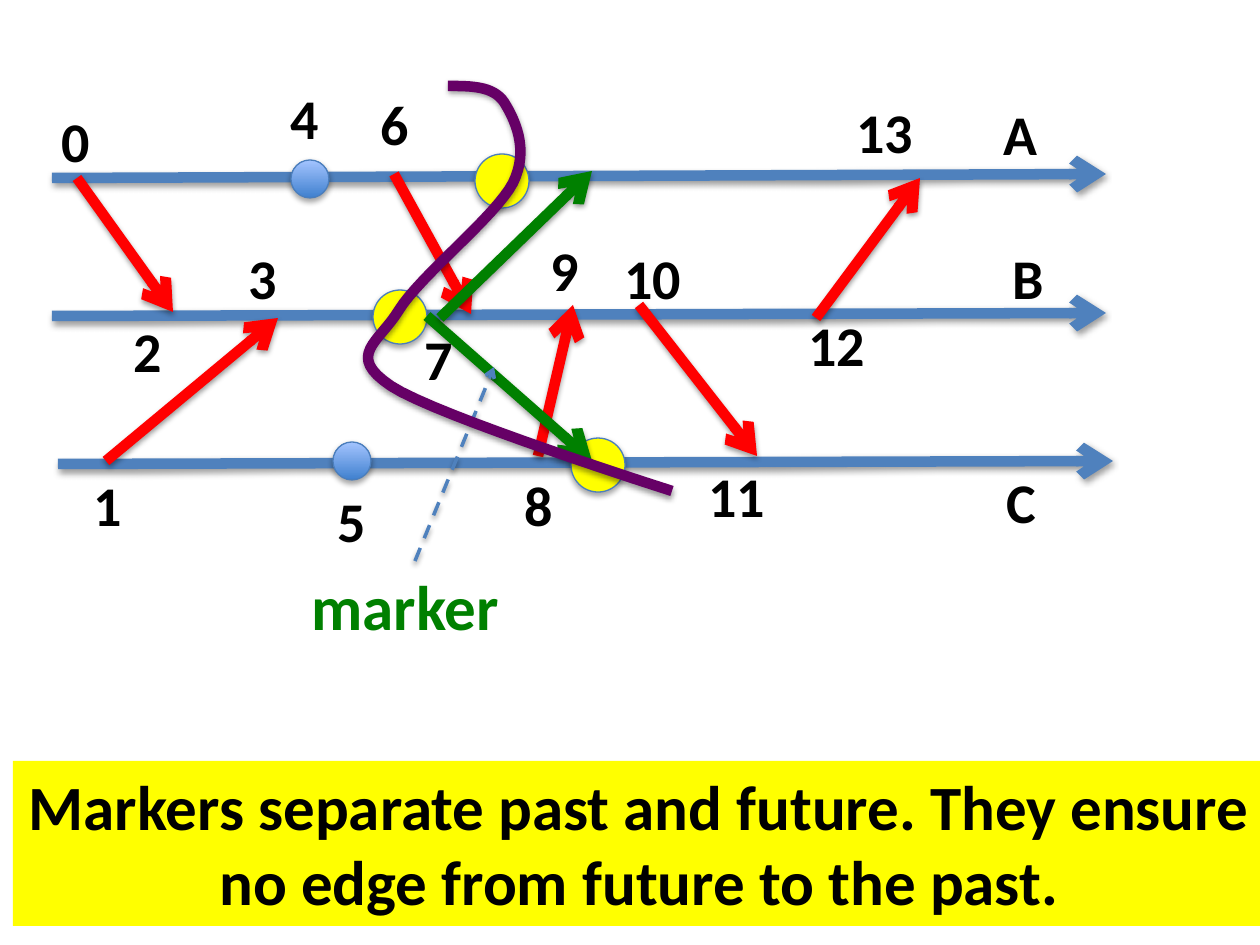
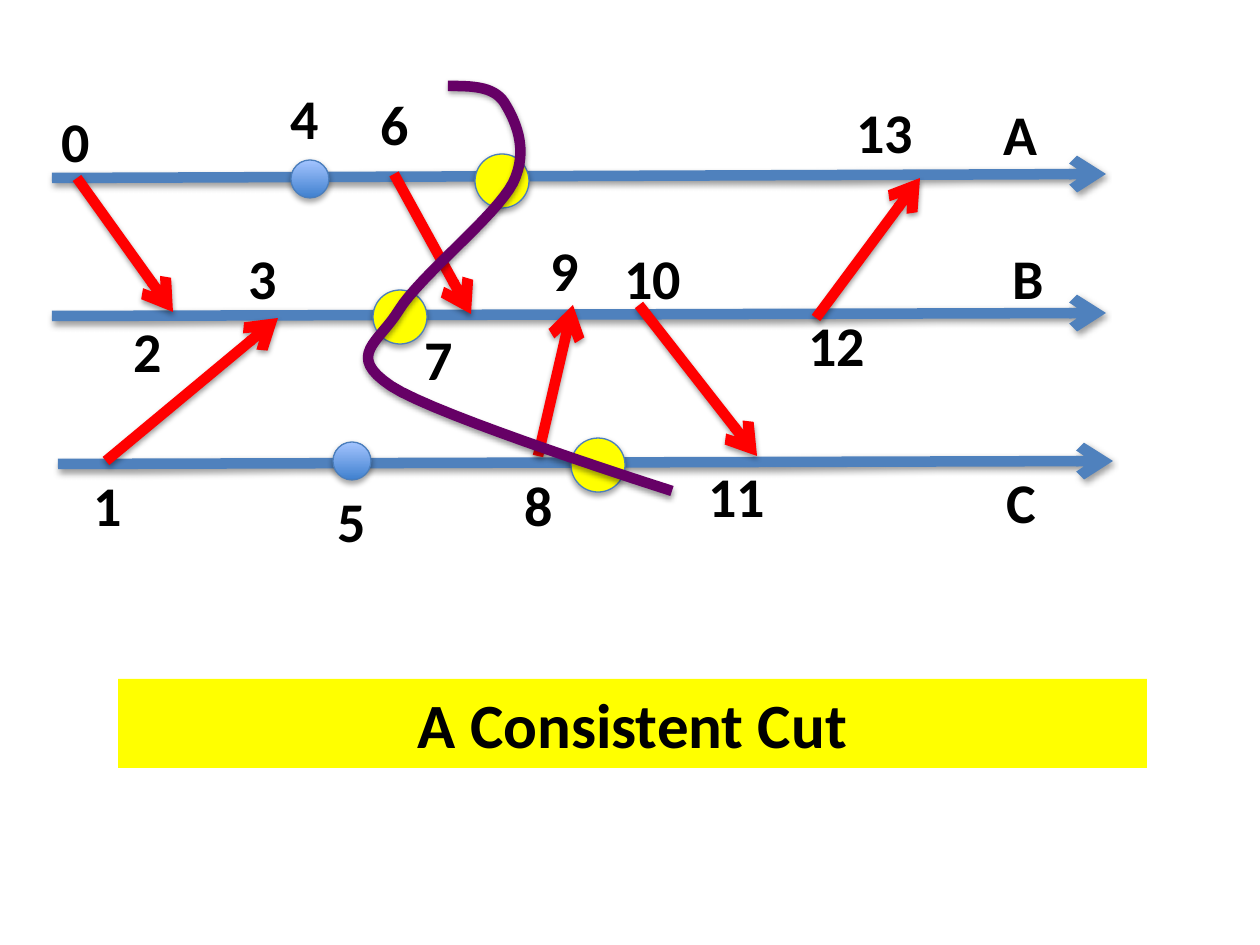
from lxml import etree
from pptx import Presentation
from pptx import util as u
from pptx.dml.color import RGBColor
from pptx.enum import dml, shapes, text
from pptx.oxml.ns import qn

PX_PER_INCH = 126
FONT = "Calibri"
COLORS = {
    "timeline": "4F81BD", "message": "FF0000", "marker": "008000",
    "cut": "660066", "snapshot": "FFFF00", "outline": "4B7EBC",
    "event_dark": "3F80CE", "event_light": "A4C4FF", "text": "000000",
}

# Each line runs from (x, y) to (x, y), in px.
TIMELINES = [(52, 178, 1106, 174), (52, 316, 1106, 313), (58, 464, 1113, 461)]
MESSAGES = [
    (394, 174, 471, 314), (639, 305, 757, 456), (816, 318, 920, 178),
    (77, 178, 173, 312), (106, 461, 278, 318), (538, 456, 573, 305),
]
MARKERS = [(427, 316, 592, 461), (440, 318, 592, 171)]
MARKER_POINTER = (415, 561, 494, 367)

EVENT_SIZE, SNAPSHOT_SIZE = 38, 54
EVENTS = [(291, 160), (333, 442)]
SNAPSHOTS = [(373, 290), (475, 154), (571, 438)]

LABELS = {
    "A": (991, 93), "B": (1000, 237), "C": (994, 461),
    "0": (49, 100), "1": (81, 464), "2": (121, 310), "3": (236, 237),
    "4": (278, 77), "5": (325, 480), "6": (368, 83), "7": (412, 318),
    "8": (512, 464), "9": (538, 229), "10": (612, 237), "11": (696, 455),
    "12": (796, 304), "13": (844, 91),
}
LABEL_HEIGHT, LETTER_WIDTH, DIGIT_WIDTH, LABEL_PADDING = 81, 57, 29, 25
MARKER_LABEL = ("marker", (299, 561, 231, 89))

CUT_START = (448, 86)
CUT_CURVES = [  # two control points and an end point each
    ((471, 86), (493, 86), (504, 102)),
    ((514, 118), (530, 149), (513, 183)),
    ((495, 217), (420, 276), (399, 310)),
    ((379, 343), (345, 355), (391, 386)),
    ((436, 416), (672, 491), (672, 491)),
]
CURVE_STEPS = 16

SLIDES = [
    {"banner": "Markers separate past and future. They ensure no edge from "
               "future to the past.",
     "box": (13, 761, 1252, 165), "markers": True},
    {"banner": "A Consistent Cut", "box": (118, 679, 1029, 89), "markers": False},
]


def px(*lengths):
    return [u.Inches(length / PX_PER_INCH) for length in lengths]


def rgb(name):
    return RGBColor.from_string(COLORS[name])


def set_line(shape, color, points):
    shape.line.color.rgb = rgb(color)
    shape.line.width = u.Pt(points)


def add_shadow(shape, distance=20000, opacity=38000):
    """Give a soft downward shadow; call it after fill and line are set."""
    effects = etree.SubElement(shape._element.spPr, qn("a:effectLst"))
    shadow = etree.SubElement(effects, qn("a:outerShdw"), blurRad="40000",
                              dist=str(distance), dir="5400000", rotWithShape="0")
    color = etree.SubElement(shadow, qn("a:srgbClr"), val="000000")
    etree.SubElement(color, qn("a:alpha"), val=str(opacity))


def add_arrow(slide, ends, color, points=6, dash=None):
    arrow = slide.shapes.add_connector(shapes.MSO_CONNECTOR.STRAIGHT, *px(*ends))
    set_line(arrow, color, points)
    if dash:
        arrow.line.dash_style = dash
    etree.SubElement(arrow.line._get_or_add_ln(), qn("a:tailEnd"), type="arrow")
    add_shadow(arrow)


def add_circle(slide, left, top, size):
    circle = slide.shapes.add_shape(shapes.MSO_SHAPE.OVAL, *px(left, top, size, size))
    if size == EVENT_SIZE:
        circle.fill.gradient()
        circle.fill.gradient_angle = 90
        for stop, color in zip(circle.fill.gradient_stops, ("event_dark", "event_light")):
            stop.color.rgb = rgb(color)
    else:
        circle.fill.solid()
        circle.fill.fore_color.rgb = rgb("snapshot")
    set_line(circle, "outline", 0.75)
    add_shadow(circle, 23000, 35000)


def add_text(slide, words, box, size=36, color="text", wrap=True):
    shape = slide.shapes.add_textbox(*px(*box))
    frame = shape.text_frame
    frame.word_wrap = wrap
    frame.auto_size = text.MSO_AUTO_SIZE.SHAPE_TO_FIT_TEXT
    paragraph = frame.paragraphs[0]
    run = paragraph.add_run()
    run.text = words
    for name, value in {"name": FONT, "size": u.Pt(size), "bold": True}.items():
        setattr(run.font, name, value)
    run.font.color.rgb = rgb(color)
    return shape


def add_label(slide, words, left, top):
    width = LABEL_PADDING + DIGIT_WIDTH * len(words) if words.isdigit() else LETTER_WIDTH
    add_text(slide, words, (left, top, width, LABEL_HEIGHT), size=32, wrap=False)


def add_banner(slide, words, box):
    banner = add_text(slide, words, box)
    banner.fill.solid()
    banner.fill.fore_color.rgb = rgb("snapshot")
    banner.text_frame.paragraphs[0].alignment = text.PP_ALIGN.CENTER


def cut_points():
    """Return points along the chain of cubic curves."""
    points, start = [], CUT_START
    for first, second, end in CUT_CURVES:
        for step in range(1, CURVE_STEPS + 1):
            t = step / CURVE_STEPS
            weights = ((1 - t) ** 3, 3 * t * (1 - t) ** 2, 3 * t * t * (1 - t), t ** 3)
            points.append(tuple(
                sum(weight * value for weight, value in zip(weights, values))
                for values in zip(start, first, second, end)))
        start = end
    return points


def add_cut(slide):
    builder = slide.shapes.build_freeform(*px(*CUT_START), scale=1.0)
    builder.add_line_segments([px(*point) for point in cut_points()], close=False)
    cut = builder.convert_to_shape()
    cut.fill.background()
    set_line(cut, "cut", 6)
    add_shadow(cut)


def add_timeline_diagram(slide, with_markers):
    for color, arrows in (("timeline", TIMELINES), ("message", MESSAGES)):
        for ends in arrows:
            add_arrow(slide, ends, color)
    for left, top in EVENTS:
        add_circle(slide, left, top, EVENT_SIZE)
    for words, (left, top) in LABELS.items():
        add_label(slide, words, left, top)
    for left, top in SNAPSHOTS:
        add_circle(slide, left, top, SNAPSHOT_SIZE)
    if with_markers:
        for ends in MARKERS:
            add_arrow(slide, ends, "marker")
        add_text(slide, *MARKER_LABEL, color="marker")
        add_arrow(slide, MARKER_POINTER, "timeline", 2, dml.MSO_LINE.DASH)
    add_cut(slide)


def main():
    presentation = Presentation()
    presentation.slide_width, presentation.slide_height = u.Inches(10), u.Inches(7.5)
    blank = presentation.slide_layouts.get_by_name("Blank")
    for content in SLIDES:
        slide = presentation.slides.add_slide(blank)
        add_timeline_diagram(slide, content["markers"])
        add_banner(slide, content["banner"], content["box"])
    presentation.save("out.pptx")


if __name__ == "__main__":
    main()
